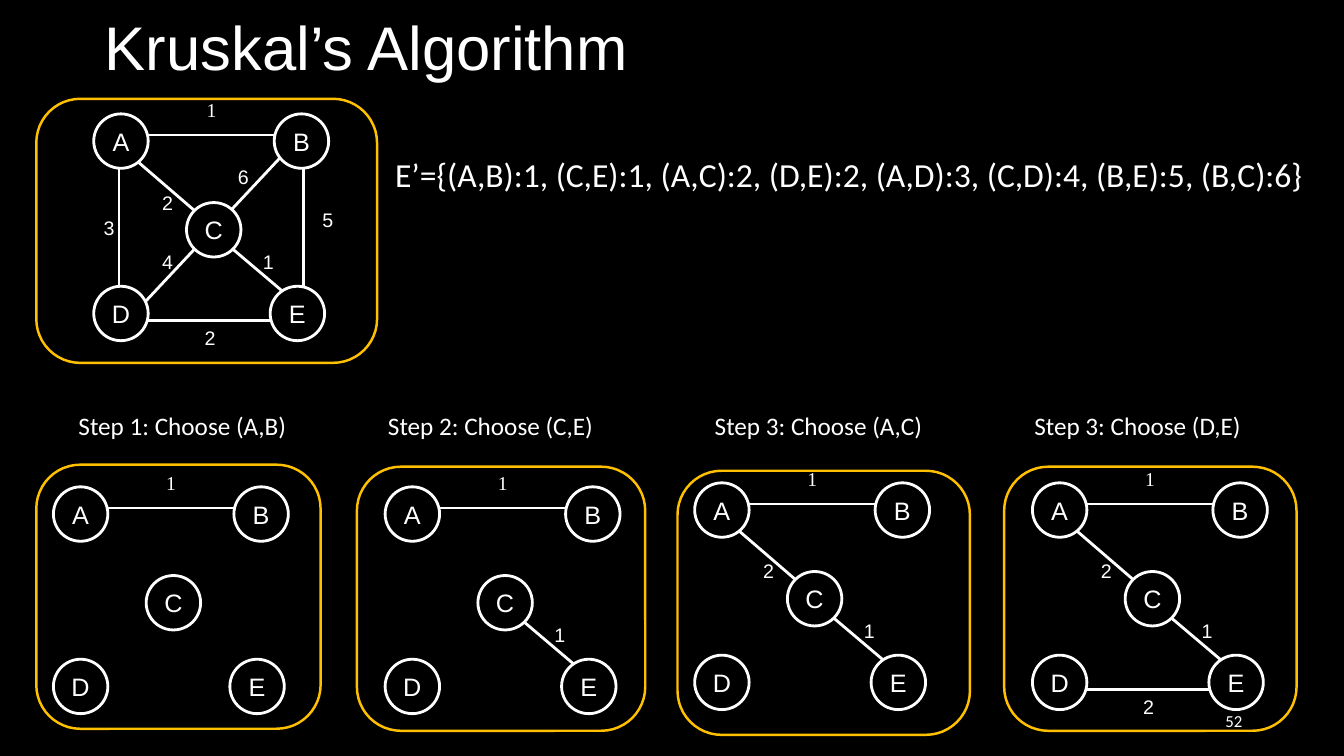
from dataclasses import dataclass
from typing import Any

import lxml.etree
import pptx
import pptx.dml.color
import pptx.enum.shapes
import pptx.enum.text
import pptx.oxml.ns
import pptx.shapes.shapetree
import pptx.slide
import pptx.text.text
import pptx.util

Inches = pptx.util.Inches
Pt = pptx.util.Pt
RGBColor = pptx.dml.color.RGBColor
MSO_SHAPE = pptx.enum.shapes.MSO_SHAPE
MSO_ANCHOR = pptx.enum.text.MSO_ANCHOR
MSO_AUTO_SIZE = pptx.enum.text.MSO_AUTO_SIZE
PP_ALIGN = pptx.enum.text.PP_ALIGN

BLACK = RGBColor(0x00, 0x00, 0x00)
WHITE = RGBColor(0xFF, 0xFF, 0xFF)
AMBER = RGBColor(0xFF, 0xC0, 0x00)

TITLE_FONT = {"name": "Arial", "size": Pt(44)}
NODE_FONT = {"name": "Arial", "size": Pt(18)}
WEIGHT_FONT = {"name": "Arial", "size": Pt(14)}
TOP_WEIGHT_FONT = {"name": "Times New Roman", "size": Pt(14)}
EDGE_LIST_FONT = {"name": "Calibri", "size": Pt(24)}
STEP_FONT = {"name": "Calibri", "size": Pt(18)}
NUMBER_FONT = {"name": "Calibri", "size": Pt(12)}

NODE_SIZE = 0.54
FRAME_HEIGHT = 2.62
Point = tuple[float, float]


@dataclass(frozen=True)
class Weight:
    text: str
    position: Point
    font: dict[str, Any]


@dataclass(frozen=True)
class Edge:
    start: Point
    end: Point
    weights: tuple[Weight, ...]


@dataclass(frozen=True)
class Panel:
    frame: tuple[float, float, float]
    origin: Point
    edges: tuple[str, ...]
    caption: str = ""
    caption_left: float = 0
    caption_width: float = 0


# Positions inside a graph are measured from the top left of node A.
NODES: dict[str, Point] = {
    "A": (0, 0),
    "B": (1.79, 0),
    "C": (0.92, 0.88),
    "D": (0, 1.71),
    "E": (1.75, 1.71),
}
EDGES = {
    "AB": Edge((0.5, 0.21), (1.82, 0.21), (Weight("1", (1.02, -0.21), TOP_WEIGHT_FONT),)),
    "CE": Edge((1.92, 1.8), (1.33, 1.3), (Weight("1", (1.58, 1.3), WEIGHT_FONT),)),
    "AC": Edge((1, 0.96), (0.42, 0.46), (Weight("2", (0.58, 0.71), WEIGHT_FONT),)),
    "DE": Edge((0.5, 2.05), (1.82, 2.05), (Weight("2", (1, 2.05), WEIGHT_FONT),)),
    "AD": Edge((0.25, 1.78), (0.25, 0.46), (Weight("3", (0, 0.96), WEIGHT_FONT),)),
    "DCB": Edge(
        (0.42, 1.96),
        (1.9, 0.38),
        (Weight("4", (0.58, 1.3), WEIGHT_FONT), Weight("6", (1.33, 0.46), WEIGHT_FONT)),
    ),
    "BE": Edge((2.08, 1.86), (2.08, 0.55), (Weight("5", (2.17, 0.88), WEIGHT_FONT),)),
}
CHOSEN = ("AB", "CE", "AC", "DE")
PANELS = (
    Panel((0.36, 0.98, 3.38), (0.93, 1.13), tuple(EDGES)),
    Panel((0.36, 4.61, 2.82), (0.53, 4.83), CHOSEN[:1], "Step 1: Choose (A,B)", 0.68, 2.29),
    Panel((3.54, 4.63, 2.86), (3.82, 4.83), CHOSEN[:2], "Step 2: Choose (C,E)", 3.75, 2.26),
    Panel((6.72, 4.67, 2.9), (6.89, 4.79), CHOSEN[:3], "Step 3: Choose (A,C)", 6.99, 2.29),
    Panel((9.96, 4.63, 2.9), (10.24, 4.79), CHOSEN, "Step 3: Choose (D,E)", 10.16, 2.28),
)


def write(frame: pptx.text.text.TextFrame, text: str, font: dict[str, Any],
          alignment: PP_ALIGN = PP_ALIGN.LEFT) -> None:
    paragraph = frame.paragraphs[0]
    paragraph.alignment = alignment
    run = paragraph.add_run()
    run.text = text
    for attribute, value in font.items():
        setattr(run.font, attribute, value)
    run.font.color.rgb = WHITE


def add_label(shapes: Any, text: str, box: tuple[float, float, float, float],
              font: dict[str, Any], wrap: bool = False) -> None:
    text_box = shapes.add_textbox(*map(Inches, box))
    text_box.text_frame.word_wrap = wrap
    text_box.text_frame.auto_size = MSO_AUTO_SIZE.SHAPE_TO_FIT_TEXT
    write(text_box.text_frame, text, font)


def add_node(shapes: pptx.shapes.shapetree.GroupShapes, name: str, left: float, top: float) -> None:
    node = shapes.add_shape(
        MSO_SHAPE.OVAL, Inches(left), Inches(top), Inches(NODE_SIZE), Inches(NODE_SIZE))
    node.shadow.inherit = False
    node.fill.solid()
    node.fill.fore_color.rgb = BLACK
    node.line.color.rgb = WHITE
    node.line.width = Pt(2)
    node.text_frame.word_wrap = False
    node.text_frame.vertical_anchor = MSO_ANCHOR.MIDDLE
    write(node.text_frame, name, NODE_FONT, PP_ALIGN.CENTER)


def add_edge(shapes: pptx.shapes.shapetree.GroupShapes, start: Point, end: Point) -> None:
    line = shapes.add_connector(
        pptx.enum.shapes.MSO_CONNECTOR.STRAIGHT, *map(Inches, (*start, *end)))
    line.line.color.rgb = WHITE
    line.line.width = Pt(2)
    lxml.etree.SubElement(line.element.spPr, pptx.oxml.ns.qn("a:effectLst"))


def add_graph(slide: pptx.slide.Slide, panel: Panel) -> None:
    shapes = slide.shapes.add_group_shape().shapes
    origin_left, origin_top = panel.origin

    def place(point: Point) -> Point:
        return origin_left + point[0], origin_top + point[1]

    edges = [EDGES[name] for name in panel.edges]
    for edge in edges:
        add_edge(shapes, place(edge.start), place(edge.end))
    for name, position in NODES.items():
        add_node(shapes, name, *place(position))
    for edge in edges:
        for weight in edge.weights:
            add_label(shapes, weight.text, (*place(weight.position), 0.31, 0.34), weight.font)


def add_panel(slide: pptx.slide.Slide, panel: Panel) -> None:
    """Draw a graph in its rounded frame, with the caption above it if there is one."""
    add_graph(slide, panel)
    frame = slide.shapes.add_shape(
        MSO_SHAPE.ROUNDED_RECTANGLE, *map(Inches, (*panel.frame, FRAME_HEIGHT)))
    frame.shadow.inherit = False
    frame.fill.background()
    frame.line.color.rgb = AMBER
    frame.line.width = Pt(1.75)
    if panel.caption:
        add_label(slide.shapes, panel.caption,
                  (panel.caption_left, 4.02, panel.caption_width, 0.4), STEP_FONT)


def add_title(slide: pptx.slide.Slide) -> None:
    title = slide.shapes.title
    title.left, title.top, title.width, title.height = map(Inches, (0.94, 0.04, 11.5, 0.93))
    title.text_frame.vertical_anchor = MSO_ANCHOR.MIDDLE
    write(title.text_frame, "Kruskal’s Algorithm", TITLE_FONT)
    title.text_frame.paragraphs[0].line_spacing = 0.9


def add_slide_number(slide: pptx.slide.Slide) -> None:
    number = slide.shapes.add_textbox(Inches(9.42), Inches(6.95), Inches(3), Inches(0.4))
    number.text_frame.word_wrap = True
    number.text_frame.vertical_anchor = MSO_ANCHOR.MIDDLE
    write(number.text_frame, "52", NUMBER_FONT, PP_ALIGN.RIGHT)


def main() -> None:
    presentation = pptx.Presentation()
    presentation.slide_width = Inches(13.33)
    presentation.slide_height = Inches(7.5)
    slide = presentation.slides.add_slide(presentation.slide_layouts[5])
    slide.background.fill.solid()
    slide.background.fill.fore_color.rgb = BLACK

    add_title(slide)
    for panel in PANELS:
        add_panel(slide, panel)
    add_label(
        slide.shapes,
        "E’={(A,B):1, (C,E):1, (A,C):2, (D,E):2, (A,D):3, (C,D):4, (B,E):5, (B,C):6}",
        (3.82, 1.48, 9.29, 0.5), EDGE_LIST_FONT, wrap=True)
    add_slide_number(slide)
    presentation.save("out.pptx")


if __name__ == "__main__":
    main()
